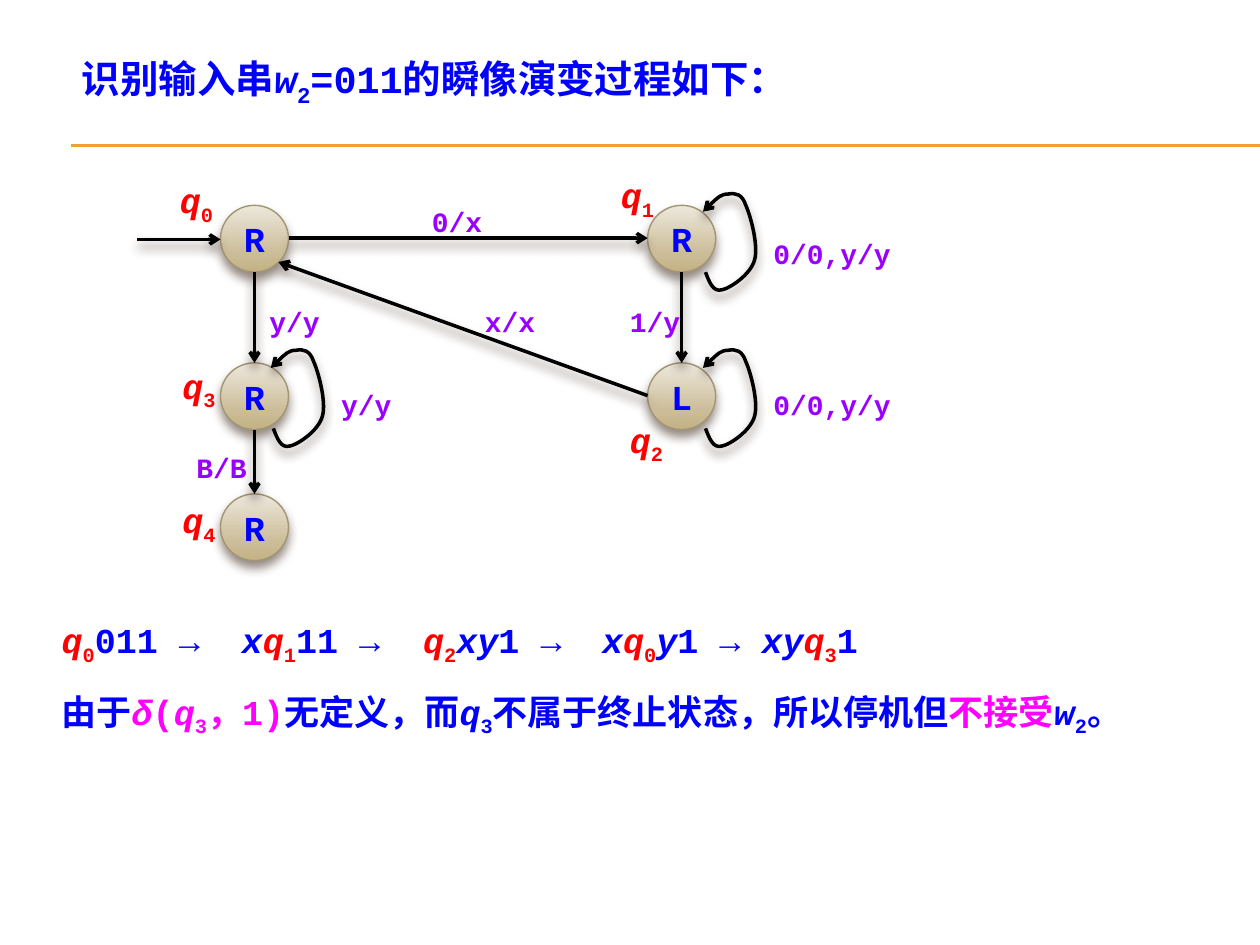
from copy import deepcopy
from typing import NamedTuple

from lxml.etree import SubElement
from pptx import Presentation
from pptx.dml.color import RGBColor
from pptx.enum.shapes import MSO_CONNECTOR as Connector, MSO_SHAPE as Shape
from pptx.enum.text import MSO_ANCHOR as Anchor, MSO_AUTO_SIZE as AutoSize, PP_ALIGN as Align
from pptx.oxml.ns import qn
from pptx.util import Inches, Pt

COLORS = {
    "blue": "0000FF", "red": "FF0000", "magenta": "FF00FF", "violet": "9900FF",
    "black": "000000", "rule": "F0A22E", "outline": "A19574", "shadow": "4E3B30",
}
NODE_GRADIENT = [(0, "EDE8DC"), (0.72, "CCBD99"), (1, "C4B284")]
LATIN_FONT, ASIAN_FONT = "Courier New", "Noto Sans CJK SC"
NODE_WIDTH, NODE_HEIGHT = 0.54, 0.53
LEFT, RIGHT = 1.75, 5.14
TOP, MIDDLE, BOTTOM = 1.63, 2.88, 3.92
LABEL_FRAME = {"word_wrap": True, "margin_right": 0}
BODY_FRAME = {"word_wrap": True, "auto_size": AutoSize.SHAPE_TO_FIT_TEXT}
TITLE_FRAME = {"word_wrap": True, "auto_size": AutoSize.NONE, "vertical_anchor": Anchor.TOP}
NODE_FRAME = {"vertical_anchor": Anchor.MIDDLE, "margin_left": 0, "margin_right": 0,
              "margin_top": 0, "margin_bottom": 0}


class Run(NamedTuple):
    text: str
    color: str = "blue"
    italic: bool = False
    subscript: bool = False
    font: str = LATIN_FONT


class Node(NamedTuple):
    left: float
    top: float
    move: str


class Edge(NamedTuple):
    start: tuple[float, float]
    end: tuple[float, float]


class Label(NamedTuple):
    left: float
    top: float
    width: float
    height: float
    runs: list[Run]
    size: int


def indexed(letter: str, index: int, color: str = "blue") -> list[Run]:
    """An italic letter with an upright subscript."""
    return [Run(letter, color, True), Run(str(index), color, subscript=True)]


def state_label(left: float, top: float, index: int) -> Label:
    return Label(left, top, 0.5, 0.44, indexed("q", index, "red"), 20)


def rule_label(left: float, top: float, text: str) -> Label:
    width = 0.72 if len(text) == 3 else 1.14
    return Label(left, top, width, 0.31, [Run(text, "violet")], 16)


NODES = [Node(LEFT, TOP, "R"), Node(RIGHT, TOP, "R"), Node(LEFT, MIDDLE, "R"),
         Node(RIGHT, MIDDLE, "L"), Node(LEFT, BOTTOM, "R")]
LEFT_CENTER, RIGHT_CENTER = LEFT + NODE_WIDTH / 2, RIGHT + NODE_WIDTH / 2
EDGES = [
    Edge((1.09, 1.9), (LEFT, 1.9)),
    Edge((LEFT + NODE_WIDTH, 1.89), (RIGHT, 1.89)),
    Edge((RIGHT_CENTER, TOP + NODE_HEIGHT), (RIGHT_CENTER, MIDDLE)),
    Edge((RIGHT, 3.14), (2.21, 2.08)),
    Edge((LEFT_CENTER, TOP + NODE_HEIGHT), (LEFT_CENTER, MIDDLE)),
    Edge((LEFT_CENTER, MIDDLE + NODE_HEIGHT), (LEFT_CENTER, BOTTOM)),
]
LOOP_ORIGINS = [(5.58, 1.53), (5.58, 2.77), (2.15, 2.77)]
# The start point, then two control points and an end point for each curve
LOOP_POINTS = [
    (0.02, 0.63),
    (0.05, 0.71), (0.08, 0.79), (0.15, 0.77),
    (0.21, 0.76), (0.38, 0.65), (0.41, 0.53),
    (0.44, 0.42), (0.38, 0.19), (0.34, 0.1),
    (0.31, 0.01), (0.26, 0), (0.2, 0.01),
    (0.14, 0.01), (0.07, 0.08), (0, 0.15),
]
LABELS = [
    state_label(1.33, 1.37, 0), state_label(4.83, 1.33, 1), state_label(4.9, 3.27, 2),
    state_label(1.35, 2.84, 3), state_label(1.35, 3.91, 4),
    rule_label(1.46, 3.53, "B/B"), rule_label(2.04, 2.37, "y/y"),
    rule_label(3.75, 2.37, "x/x"), rule_label(4.9, 2.37, "1/y"),
    rule_label(3.33, 1.57, "0/x"), rule_label(2.61, 3.03, "y/y"),
    rule_label(6.04, 3.03, "0/0,y/y"), rule_label(6.04, 1.83, "0/0,y/y"),
]
TITLE = [Run("识别输入串"), *indexed("w", 2), Run("=011的瞬像演变过程如下：")]
TRACE = [
    *indexed("q", 0, "red"), Run("011 →\t"),
    Run("x", italic=True), *indexed("q", 1, "red"), Run("11 →\t"),
    *indexed("q", 2, "red"), Run("xy", italic=True), Run("1 →\t"),
    Run("x", italic=True), *indexed("q", 0, "red"), Run("y", italic=True), Run("1 → "),
    Run("xy", italic=True), *indexed("q", 3, "red"), Run("1"),
]
TRACE_STOPS = [1.43, 2.87, 4.29]
CONCLUSION = [
    Run("由于"), Run("δ", "magenta", True), Run("(", "magenta"), *indexed("q", 3, "magenta"),
    Run("，1)", "magenta"), Run("无定义，而"), *indexed("q", 3),
    Run("不属于终止状态，所以停机但"), Run("不接受", "magenta", font=ASIAN_FONT),
    *indexed("w", 2), Run("。"),
]


def rgb(name: str) -> RGBColor:
    return RGBColor.from_string(COLORS[name])


def apply(target, values: dict) -> None:
    for name, value in values.items():
        setattr(target, name, value)


def write_runs(paragraph, runs: list[Run], size: int) -> None:
    for item in runs:
        run = paragraph.add_run()
        run.text = item.text
        apply(run.font, {"name": item.font, "size": Pt(size), "bold": True, "italic": item.italic})
        run.font.color.rgb = rgb(item.color)
        properties = run._r.get_or_add_rPr()
        SubElement(properties, qn("a:ea"), typeface=ASIAN_FONT)
        if item.subscript:
            properties.set("baseline", "-25000")


def style_line(shape, color: str, width: float, arrow: bool = False) -> None:
    shape.line.color.rgb = rgb(color)
    shape.line.width = Pt(width)
    if arrow:
        SubElement(shape.element.spPr.find(qn("a:ln")), qn("a:tailEnd"), type="arrow")


def set_shadow(shape, visible: bool = True) -> None:
    effects = SubElement(shape.element.spPr, qn("a:effectLst"))
    if visible:
        shadow = SubElement(effects, qn("a:outerShdw"), blurRad=str(Pt(6)), dist=str(Pt(4)),
                            dir="5400000", rotWithShape="0")
        color = SubElement(shadow, qn("a:srgbClr"), val=COLORS["shadow"])
        SubElement(color, qn("a:alpha"), val="60000")


def add_line(slide, edge: Edge, color: str, width: float, arrow: bool) -> None:
    ends = [Inches(value) for value in (*edge.start, *edge.end)]
    line = slide.shapes.add_connector(Connector.STRAIGHT, *ends)
    style_line(line, color, width, arrow)
    set_shadow(line, arrow)


def add_node(slide, node: Node) -> None:
    box = (node.left, node.top, NODE_WIDTH, NODE_HEIGHT)
    shape = slide.shapes.add_shape(Shape.OVAL, *map(Inches, box))
    shape.fill.gradient()
    shape.fill.gradient_angle = 270
    stop_list = shape.element.spPr.find(qn("a:gradFill")).find(qn("a:gsLst"))
    stop_list.append(deepcopy(stop_list[-1]))
    for stop, (position, color) in zip(shape.fill.gradient_stops, NODE_GRADIENT):
        stop.position = position
        stop.color.rgb = RGBColor.from_string(color)
    style_line(shape, "outline", 0.79)
    set_shadow(shape)
    apply(shape.text_frame, NODE_FRAME)
    paragraph = shape.text_frame.paragraphs[0]
    paragraph.alignment = Align.CENTER
    write_runs(paragraph, [Run(node.move)], 20)


def add_loop(slide, left: float, top: float) -> None:
    start, *points = [(Inches(left + x), Inches(top + y)) for x, y in LOOP_POINTS]
    builder = slide.shapes.build_freeform(*start)
    builder.add_line_segments(points, close=False)
    shape = builder.convert_to_shape()
    outline = next(shape.element.iter(qn("a:path")))
    segments = outline.findall(qn("a:lnTo"))
    for first in range(0, len(segments), 3):
        curve = SubElement(outline, qn("a:cubicBezTo"))
        for segment in segments[first:first + 3]:
            curve.append(segment[0])
            outline.remove(segment)
    shape.fill.background()
    style_line(shape, "black", 2, arrow=True)
    set_shadow(shape)


def add_text(slide, label: Label, frame_format: dict):
    box = slide.shapes.add_textbox(*map(Inches, label[:4]))
    apply(box.text_frame, frame_format)
    write_runs(box.text_frame.paragraphs[0], label.runs, label.size)
    return box.text_frame


def add_title(slide) -> None:
    title = slide.shapes.title
    apply(title, dict(zip(("left", "top", "width", "height"), map(Inches, (0.55, 0.39, 6.72, 0.47)))))
    apply(title.text_frame, TITLE_FRAME)
    paragraph = title.text_frame.paragraphs[0]
    paragraph.alignment = Align.LEFT
    write_runs(paragraph, TITLE, 22)


def add_trace(slide) -> None:
    frame = add_text(slide, Label(0.39, 4.67, 8.98, 1.11, TRACE, 20), BODY_FRAME)
    write_runs(frame.add_paragraph(), CONCLUSION, 20)
    for paragraph in frame.paragraphs:
        paragraph.line_spacing = 1.5
    stops = SubElement(frame.paragraphs[0]._p.get_or_add_pPr(), qn("a:tabLst"))
    for position in TRACE_STOPS:
        SubElement(stops, qn("a:tab"), pos=str(Inches(position)), algn="l")


def main() -> None:
    presentation = Presentation()
    apply(presentation, {"slide_width": Inches(10), "slide_height": Inches(7.5)})
    slide = presentation.slides.add_slide(presentation.slide_layouts[5])
    for y in (1.15, 1.16):
        add_line(slide, Edge((0.56, y), (10, y)), "rule", 0.75, arrow=False)
    add_title(slide)
    add_trace(slide)
    for node in NODES:
        add_node(slide, node)
    for edge in EDGES:
        add_line(slide, edge, "black", 2, arrow=True)
    for origin in LOOP_ORIGINS:
        add_loop(slide, *origin)
    for label in LABELS:
        add_text(slide, label, LABEL_FRAME)
    presentation.save("out.pptx")


if __name__ == "__main__":
    main()
